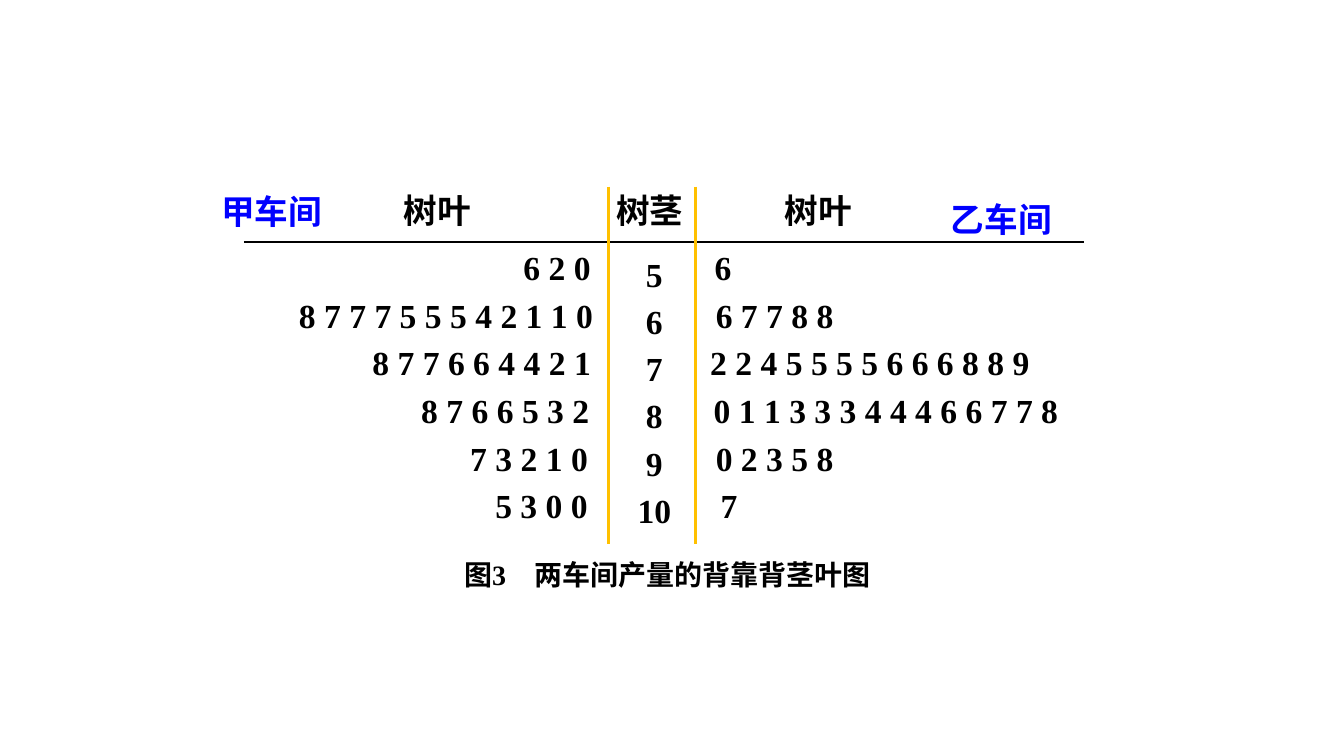
from lxml.etree import SubElement
from pptx import Presentation
from pptx.dml.color import RGBColor as Rgb
from pptx.enum.shapes import MSO_CONNECTOR as Link
from pptx.enum.text import MSO_ANCHOR as Anchor, PP_ALIGN as Align
from pptx.oxml.ns import qn
from pptx.util import Cm, Pt

COLORS = {"ink": "000000", "shop": "0000FF", "stem": "FFC000"}
FONT = "Times New Roman"
TOP, STEP = 6.1, 1.2
LEFT, RIGHT = 15.34, 17.53
STEMS = ["5", "6", "7", "8", "9", "10"]
# leaf text, box width, shift of the box from its stem line
SHOP_A = [
    ("6 2 0", 3.4, 0.4),
    ("8 7 7 7 5 5 5 4 2 1 1 0", 8.2, 0),
    ("8 7 7 6 6 4 4 2 1", 6.4, 0),
    ("8 7 6 6 5 3 2", 5.21, 0),
    ("7 3 2 1 0", 4.01, 0),
    ("5 3 0 0", 3.02, -0.18),
]
SHOP_B = [
    ("6", 0.99, 0.2),
    ("6 7 7 8 8", 3.99, 0),
    ("2 2 4 5 5 5 5 6 6 6 8 8 9", 8.79, 0),
    ("0 1 1 3 3 3 4 4 4 6 6 7 7 8", 9.6, 0),
    ("0 2 3 5 8", 3.99, 0),
    ("7", 0.99, 0.35),
]


def add_text(slide, text, x, y, w, h=1.27, size=24, color="ink",
             align=Align.CENTER, space=1.0, anchor=Anchor.TOP, wrap=False):
    box = slide.shapes.add_textbox(Cm(x), Cm(y), Cm(w), Cm(h))
    frame = box.text_frame
    frame.word_wrap = wrap
    frame.vertical_anchor = anchor
    frame.text = text
    for para in frame.paragraphs:
        para.alignment = align
        para.line_spacing = space
        font = para.font
        font.name = FONT
        font.size = Pt(size)
        font.bold = True
        font.color.rgb = Rgb.from_string(COLORS[color])


def add_line(slide, x1, y1, x2, y2, color, width):
    line = slide.shapes.add_connector(
        Link.STRAIGHT, Cm(x1), Cm(y1), Cm(x2), Cm(y2))
    line.line.color.rgb = Rgb.from_string(COLORS[color])
    line.line.width = Pt(width)
    SubElement(line._element.spPr, qn("a:effectLst"))


def add_leaves(slide):
    for row, (text, width, shift) in enumerate(SHOP_A):
        add_text(slide, text, LEFT + shift - width, TOP + row * STEP, width)
    for row, (text, width, shift) in enumerate(SHOP_B):
        add_text(slide, text, RIGHT + shift, TOP + row * STEP, width)


def add_heads(slide):
    for text, x, width in [("树叶", 9.93, 5.05), ("树茎", 15.29, 2.59),
                           ("树叶", 19.53, 5.05)]:
        add_text(slide, text, x, 4.65, width, align=Align.LEFT)
    for text, x, y in [("甲车间", 5.33, 4.27), ("乙车间", 23.72, 4.47)]:
        add_text(slide, text, x, y, 3.61, 1.68, color="shop", space=1.4,
                 align=Align.JUSTIFY, anchor=Anchor.MIDDLE, wrap=True)


def main():
    deck = Presentation()
    deck.slide_width, deck.slide_height = Cm(33.88), Cm(19.05)
    slide = deck.slides.add_slide(deck.slide_layouts[6])
    add_text(slide, "图3　两车间产量的背靠背茎叶图", 7.16, 13.92, 19.33, 1.12,
             size=20, wrap=True)
    add_text(slide, "\n".join(STEMS), 15.54, TOP, 1.91, 7.39,
             space=1.17, wrap=True)
    add_leaves(slide)
    add_line(slide, 6.15, TOP, 27.33, TOP, "ink", 1)
    for x in (LEFT, RIGHT):
        add_line(slide, x, 4.7, x, 13.72, "stem", 2.25)
    add_heads(slide)
    deck.save("out.pptx")


if __name__ == "__main__":
    main()
